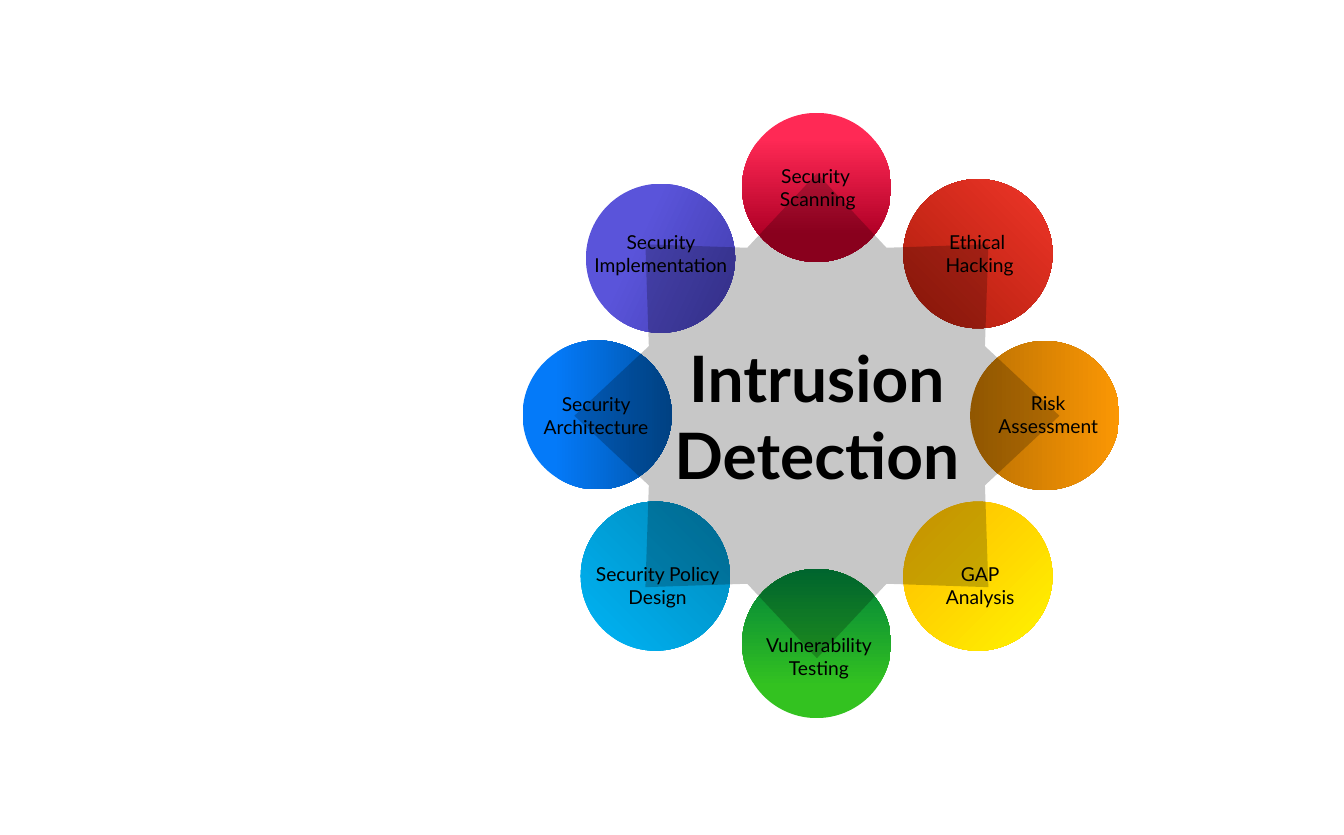
import pptx
import pptx.dml.color
import pptx.enum.shapes
import pptx.enum.text
import pptx.oxml.ns
import pptx.util
from lxml import etree

Inches = pptx.util.Inches
RGBColor = pptx.dml.color.RGBColor
SHAPES = pptx.enum.shapes.MSO_SHAPE
TEXT = pptx.enum.text

BLACK = RGBColor(0x00, 0x00, 0x00)
BLUE, NAVY = RGBColor(0x04, 0x7A, 0xF9), RGBColor(0x00, 0x54, 0xA8)
GREEN, FOREST = RGBColor(0x33, 0xC2, 0x20), RGBColor(0x00, 0x82, 0x3B)
PINK, CRIMSON = RGBColor(0xFF, 0x29, 0x55), RGBColor(0xB0, 0x00, 0x26)
BROWN, ORANGE = RGBColor(0xBA, 0x70, 0x02), RGBColor(0xFB, 0x97, 0x04)
VIOLET, INDIGO = RGBColor(0x5A, 0x54, 0xDA), RGBColor(0x3A, 0x35, 0xA0)
SKY, TEAL = RGBColor(0x00, 0xB0, 0xF0), RGBColor(0x00, 0x7F, 0xAC)
MAROON, RED = RGBColor(0x9D, 0x17, 0x05), RGBColor(0xFF, 0x3B, 0x2F)
AMBER, YELLOW = RGBColor(0xFF, 0xC0, 0x00), RGBColor(0xFF, 0xFF, 0x00)

FONT = "Lato"
DISC_SIZE = 2.59
LABEL_HEIGHT = 0.91
STAR_SIZE = 8.42
STAR_OPACITY = 22

DISCS = [
    (9.07, 5.91, 0, 0, (21, BLUE), (100, NAVY)),
    (12.88, 9.88, 0, 270, (21, GREEN), (100, FOREST)),
    (12.88, 1.96, 0, 90, (17, PINK), (82, CRIMSON)),
    (16.84, 5.92, 90, 270, (0, BROWN), (100, ORANGE)),
    (10.17, 3.19, 45, 340, (39, VIOLET), (100, INDIGO)),
    (10.08, 8.71, 45, 270, (21, SKY), (100, TEAL)),
    (15.68, 3.11, 45, 270, (0, MAROON), (100, RED)),
    (15.68, 8.71, 135, 270, (21, AMBER), (100, YELLOW)),
]

LABELS = [
    (12.9, 2.8, DISC_SIZE, ["Security ", "Scanning"]),
    (15.71, 3.95, DISC_SIZE, ["Ethical ", "Hacking"]),
    (16.9, 6.75, DISC_SIZE, ["Risk", "Assessment"]),
    (15.72, 9.72, DISC_SIZE, ["GAP", "Analysis"]),
    (12.92, 10.95, DISC_SIZE, ["Vulnerability", "Testing"]),
    (10.12, 9.72, DISC_SIZE, ["Security Policy", "Design"]),
    (9.05, 6.76, DISC_SIZE, ["Security Architecture"]),
    (10.13, 3.95, 2.68, ["Security Implementation"]),
]


def add_plain_shape(slide, preset, left, top, size):
    """Add a square-framed shape without outline or shadow."""
    shape = slide.shapes.add_shape(
        preset, Inches(left), Inches(top), Inches(size), Inches(size))
    shape.shadow.inherit = False
    shape.line.fill.background()
    return shape


def write_lines(frame, lines, size, bold=False):
    """Write centred black lines, one paragraph each."""
    frame.word_wrap = True
    for index, line in enumerate(lines):
        paragraph = frame.add_paragraph() if index else frame.paragraphs[0]
        paragraph.alignment = TEXT.PP_ALIGN.CENTER
        run = paragraph.add_run()
        run.text = line
        run.font.name = FONT
        run.font.size = pptx.util.Pt(size)
        run.font.bold = bold
        run.font.color.rgb = BLACK


def add_disc(slide, left, top, rotation, angle, *stops):
    """Add a gradient disc, its angle measured clockwise."""
    disc = add_plain_shape(slide, SHAPES.OVAL, left, top, DISC_SIZE)
    disc.rotation = rotation
    disc.fill.gradient()
    disc.fill.gradient_angle = -angle % 360
    for stop, (percent, color) in zip(disc.fill.gradient_stops, stops):
        stop.position = percent / 100
        stop.color.rgb = color


def add_star(slide, left, top, title):
    """Add the translucent central star with its title."""
    star = add_plain_shape(slide, SHAPES.STAR_8_POINT, left, top, STAR_SIZE)
    star.fill.solid()
    star.fill.fore_color.rgb = BLACK
    qn = pptx.oxml.ns.qn
    color = star.fill._xPr.find(qn("a:solidFill")).find(qn("a:srgbClr"))
    etree.SubElement(color, qn("a:alpha"), val=str(STAR_OPACITY * 1000))
    star.text_frame.vertical_anchor = TEXT.MSO_ANCHOR.MIDDLE
    write_lines(star.text_frame, [title], 80, bold=True)


def add_label(slide, left, top, width, lines):
    """Add the caption of a disc."""
    label = slide.shapes.add_textbox(
        Inches(left), Inches(top), Inches(width), Inches(LABEL_HEIGHT))
    label.text_frame.auto_size = TEXT.MSO_AUTO_SIZE.SHAPE_TO_FIT_TEXT
    write_lines(label.text_frame, lines, 24)


def main():
    """Build the intrusion detection wheel."""
    deck = pptx.Presentation()
    deck.slide_width, deck.slide_height = Inches(23.33), Inches(14.5)
    slide = deck.slides.add_slide(deck.slide_layouts[6])
    for disc in DISCS:
        add_disc(slide, *disc)
    add_star(slide, 9.97, 3.01, "Intrusion Detection")
    for label in LABELS:
        add_label(slide, *label)
    deck.save("out.pptx")


if __name__ == "__main__":
    main()
